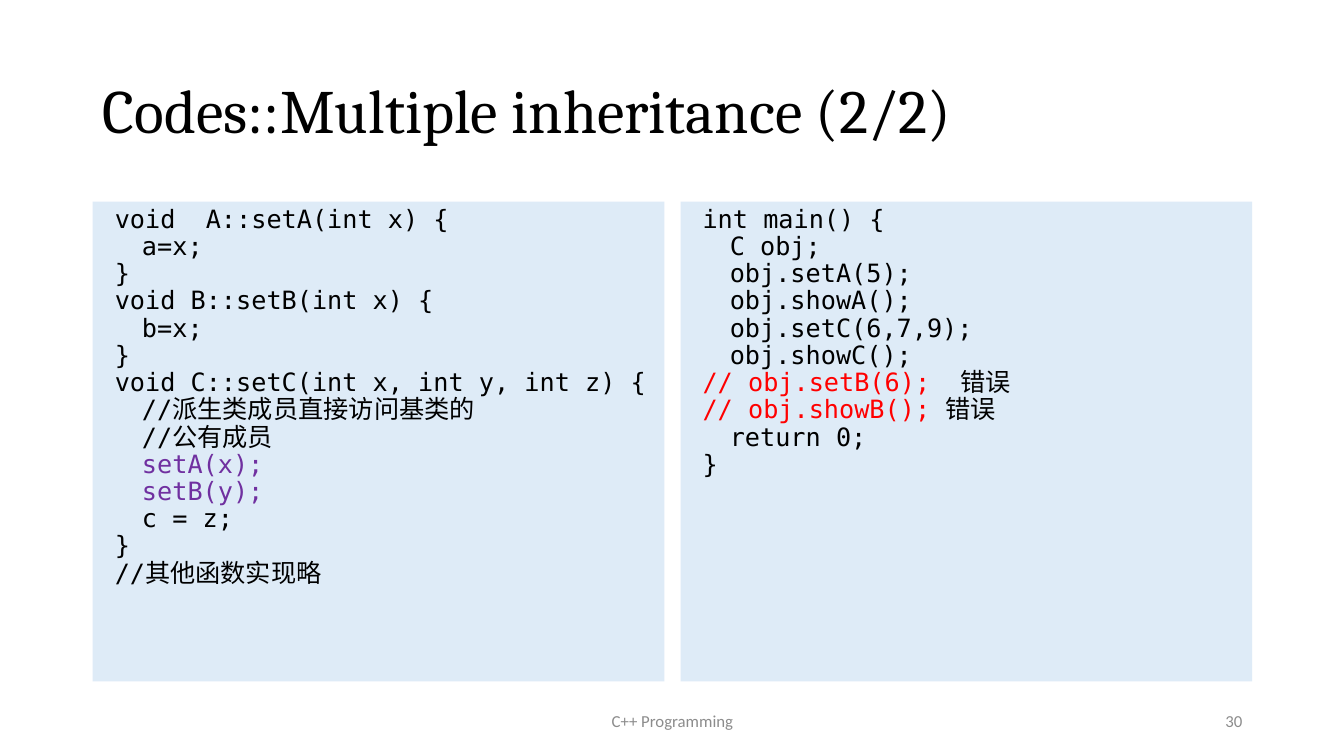
import pptx
import pptx.util
import pptx.dml.color
import pptx.enum.shapes
import pptx.enum.text

Inches = pptx.util.Inches
Align = pptx.enum.text.PP_ALIGN
Anchor = pptx.enum.text.MSO_ANCHOR

COLORS = {"black": "000000", "gray": "8C8C8C", "panel": "DEEBF7",
          "purple": "7030A0", "red": "FF0000"}

TITLE = [[("Codes::Multiple inheritance (2/2)", "black")]]
FOOTER = [[("C++ Programming", "gray")]]
NUMBER = [[("30", "gray")]]
SETTERS = [
    [("void  A::setA(int x) {", "black")],
    [("\ta=x;", "black")],
    [("}", "black")],
    [("void B::setB(int x) {", "black")],
    [("\tb=x;", "black")],
    [("}", "black")],
    [("void C::setC(int x, int y, int z) {", "black")],
    [("\t//派生类成员直接访问基类的", "black")],
    [("\t//公有成员", "black")],
    [("\tsetA(x);", "purple")],
    [("\tsetB(y);", "purple")],
    [("\tc = z;", "black")],
    [("}", "black")],
    [("//其他函数实现略", "black")],
]
MAIN = [
    [("int main() {", "black")],
    [("\tC obj;", "black")],
    [("\tobj.setA(5);", "black")],
    [("\tobj.showA();", "black")],
    [("\tobj.setC(6,7,9);", "black")],
    [("\tobj.showC();", "black")],
    [("// obj.setB(6);  ", "red"), ("错误", "black")],
    [("// obj.showB(); ", "red"), ("错误", "black")],
    [("\treturn 0;", "black")],
    [("}", "black")],
]

TITLE_FONT = {"name": "Cambria", "size": pptx.util.Pt(44)}
CODE_FONT = {"name": "DejaVu Sans Mono", "size": pptx.util.Pt(18)}
FOOTER_FONT = {"name": "Calibri", "size": pptx.util.Pt(12)}
TIGHT = {"alignment": Align.LEFT, "line_spacing": 0.9}
MARGIN, PANEL_WIDTH, PANEL_GAP = 0.92, 5.67, 0.16
HANGING = {"marL": 0.39, "indent": -0.27}


def rgb(name):
    return pptx.dml.color.RGBColor.from_string(COLORS[name])


def apply(target, values):
    for name, value in values.items():
        setattr(target, name, value)


def write(box, lines, font, layout, anchor=Anchor.MIDDLE, indents=None):
    frame = box.text_frame
    apply(frame, {"word_wrap": True, "vertical_anchor": anchor})
    for index, line in enumerate(lines):
        para = frame.add_paragraph() if index else frame.paragraphs[0]
        apply(para, layout)
        for name, value in (indents or {}).items():
            para._p.get_or_add_pPr().set(name, str(Inches(value)))
        for text, color in line:
            span = para.add_run()
            span.text = text
            apply(span.font, font)
            span.font.color.rgb = rgb(color)


def main():
    deck = pptx.Presentation()
    apply(deck, {"slide_width": Inches(13.33), "slide_height": Inches(7.5)})
    page = deck.slides.add_slide(deck.slide_layouts[6])

    labels = [
        ((MARGIN, 0.4, 11.5, 1.45), TITLE, TITLE_FONT, TIGHT),
        ((4.42, 6.95, 4.5, 0.4), FOOTER, FOOTER_FONT, {"alignment": Align.CENTER}),
        ((9.42, 6.95, 3, 0.4), NUMBER, FOOTER_FONT, {"alignment": Align.RIGHT}),
    ]
    for place, lines, font, layout in labels:
        box = page.shapes.add_textbox(*map(Inches, place))
        write(box, lines, font, layout)

    for column, lines in enumerate([SETTERS, MAIN]):
        left = MARGIN + column * (PANEL_WIDTH + PANEL_GAP)
        panel = page.shapes.add_shape(
            pptx.enum.shapes.MSO_SHAPE.RECTANGLE,
            *map(Inches, (left, 2, PANEL_WIDTH, 4.76)))
        panel.shadow.inherit = False
        panel.fill.solid()
        panel.fill.fore_color.rgb = rgb("panel")
        panel.line.fill.background()
        write(panel, lines, CODE_FONT, TIGHT, Anchor.TOP, HANGING)

    deck.save("out.pptx")


if __name__ == "__main__":
    main()
